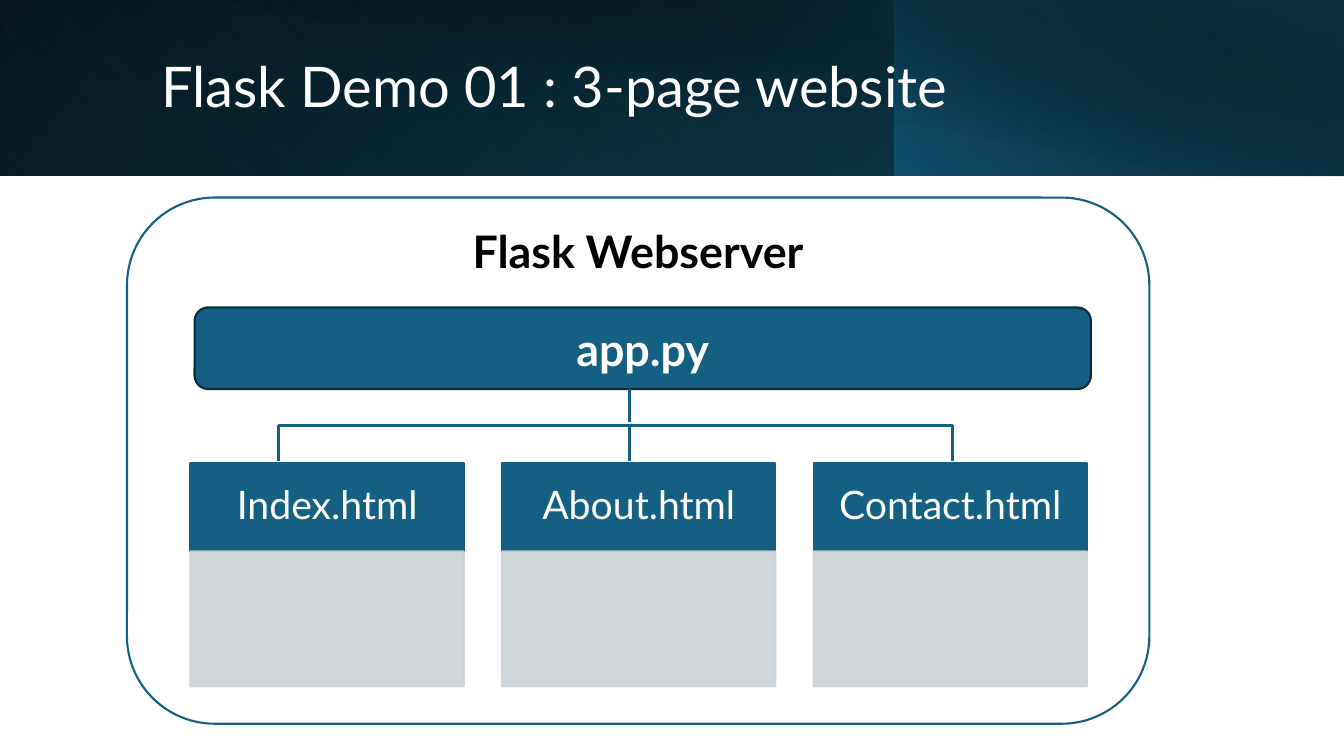
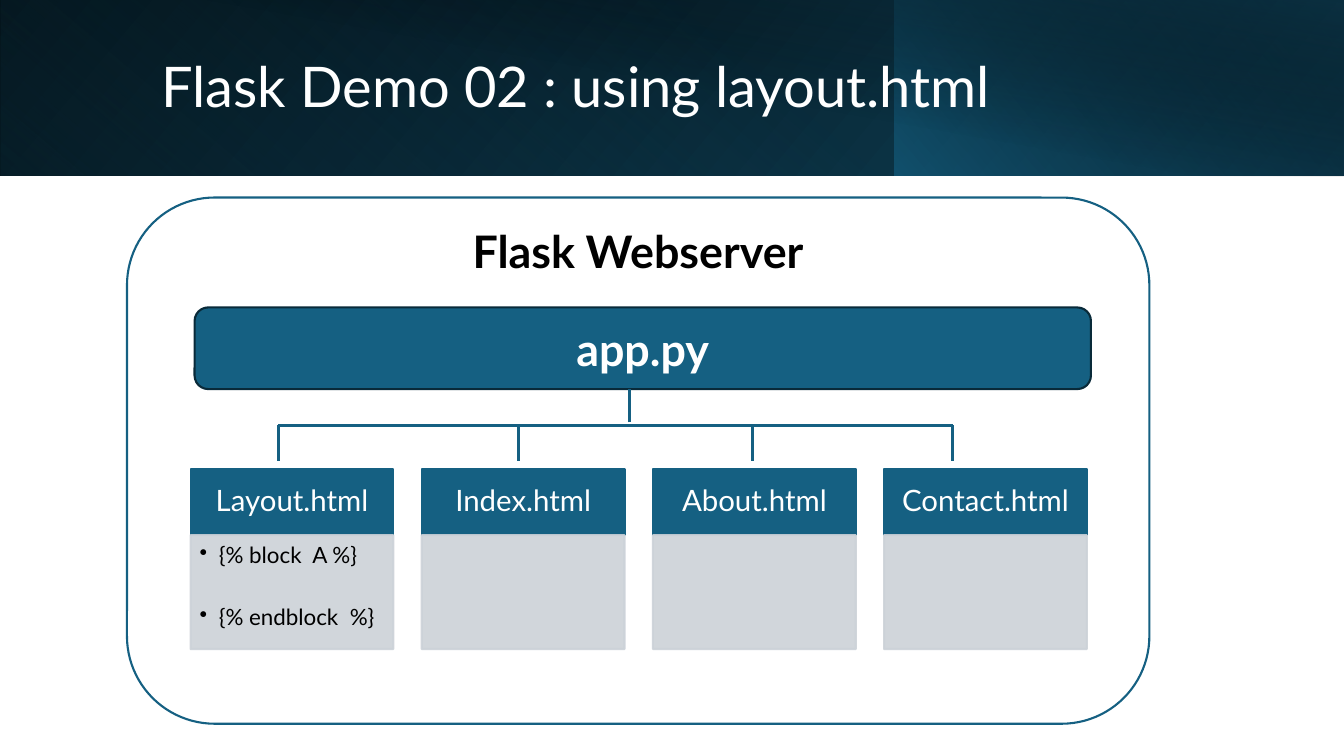
from lxml.etree import SubElement
from pptx import Presentation
from pptx.dml.color import RGBColor
from pptx.enum.shapes import MSO_CONNECTOR, MSO_SHAPE
from pptx.enum.text import MSO_ANCHOR, MSO_AUTO_SIZE, PP_ALIGN
from pptx.oxml import parse_xml
from pptx.oxml.ns import nsdecls, qn
from pptx.util import Inches, Pt

FONT = "Lato"
WHITE = RGBColor(0xFF, 0xFF, 0xFF)
BLACK = RGBColor(0x00, 0x00, 0x00)
TEAL = RGBColor(0x15, 0x60, 0x82)
DEEP_TEAL = RGBColor(0x10, 0x48, 0x62)
NAVY = RGBColor(0x0B, 0x30, 0x41)
DARK_EDGE = RGBColor(0x09, 0x2A, 0x39)
GRAY = RGBColor(0xCC, 0xD2, 0xD8)

BANDS = [
    ((0, 0, 13.33, 1.74), 0, True, 140, [(0, BLACK, 100), (100, DEEP_TEAL, 100)]),
    ((0, 0, 8.88, 1.74), 180, True, 230, [(20, TEAL, 0), (100, NAVY, 55)]),
    ((8.87, 0, 4.46, 1.74), 0, True, 220, [(0, TEAL, 66), (100, BLACK, 30)]),
    ((0.5, 0, 12.83, 1.75), 0, False, 280, [(50, BLACK, 0), (99, NAVY, 52)]),
]
CARDS_LEFT, CARDS_WIDTH, GAP_RATIO = 1.89, 8.89, 0.14
BUS_LEFT, BUS_RIGHT, BUS_Y = 2.76, 9.45, 4.22
TRUNK_X, APP_BOTTOM = 6.24, 3.86


def inches(*values):
    """Convert numbers to lengths in inches."""
    return [Inches(v) for v in values]


def write(tf, lines, size, color, bold=False, align=PP_ALIGN.CENTER,
          anchor=MSO_ANCHOR.MIDDLE, margins=(0.1, 0.05, 0.1, 0.05),
          spacing=1.0, after=0, bullet_indent=0):
    """Fill a text frame with formatted paragraphs."""
    tf.word_wrap = True
    tf.auto_size = MSO_AUTO_SIZE.NONE
    tf.vertical_anchor = anchor
    tf.margin_left, tf.margin_top, tf.margin_right, tf.margin_bottom = inches(*margins)
    for i, line in enumerate(lines):
        p = tf.add_paragraph() if i else tf.paragraphs[0]
        p.alignment, p.line_spacing, p.space_after = align, spacing, Pt(after)
        if bullet_indent:
            pPr = p._p.get_or_add_pPr()
            pPr.set("marL", str(Inches(bullet_indent)))
            pPr.set("indent", str(-Inches(bullet_indent)))
            SubElement(pPr, qn("a:buChar"), char="•")
        r = p.add_run()
        r.text = line
        r.font.name, r.font.size, r.font.bold = FONT, Pt(size), bold
        r.font.color.rgb = color


def add_box(s, box, fill, line, kind=MSO_SHAPE.RECTANGLE, opacity=100):
    """Add a filled and outlined shape."""
    sp = s.shapes.add_shape(kind, *inches(*box))
    sp.shadow.inherit = False
    sp.fill.solid()
    sp.fill.fore_color.rgb = fill
    sp.line.color.rgb = line
    sp.line.width = Pt(1.5)
    if opacity < 100:
        for color in sp.element.spPr.iter(qn("a:srgbClr")):
            SubElement(color, qn("a:alpha"), val=str(opacity * 1000))
    return sp


def add_band(s, box, rotation, flip, angle, stops):
    """Add a borderless rectangle with a linear gradient."""
    sp = s.shapes.add_shape(MSO_SHAPE.RECTANGLE, *inches(*box))
    sp.shadow.inherit = False
    sp.line.fill.background()
    sp.rotation = rotation
    spPr = sp.element.spPr
    if flip:
        spPr.xfrm.set("flipH", "1")
    gs = "".join(
        f'<a:gs pos="{pos * 1000}"><a:srgbClr val="{color}">'
        f'<a:alpha val="{opacity * 1000}"/></a:srgbClr></a:gs>'
        for pos, color, opacity in stops)
    spPr.find(qn("a:prstGeom")).addnext(parse_xml(
        f'<a:gradFill {nsdecls("a")} rotWithShape="1"><a:gsLst>{gs}</a:gsLst>'
        f'<a:lin ang="{angle * 60000}" scaled="0"/></a:gradFill>'))
    return sp


def add_header_to_layout(s):
    """Build the title bands and place them on the slide's layout."""
    tree = s.slide_layout.shapes.element
    for i, band in enumerate(BANDS):
        element = add_band(s, *band).element
        element.nvSpPr.cNvPr.set("id", str(20 + i))
        tree.insert(2 + i, element)


def add_line(s, x1, y1, x2, y2):
    """Add a straight connecting line."""
    line = s.shapes.add_connector(MSO_CONNECTOR.STRAIGHT, *inches(x1, y1, x2, y2))
    line.line.color.rgb = TEAL
    line.line.width = Pt(2.25)
    SubElement(line.element.spPr, qn("a:effectLst"))


def add_title(s, text):
    """Place and format the title."""
    title = s.shapes.title
    title.left, title.top, title.width, title.height = inches(1.5, 0.32, 10.82, 1.13)
    write(title.text_frame, [text], 40, WHITE, align=PP_ALIGN.LEFT, spacing=0.9)


def add_server(s):
    """Add the web server panel with its application bar."""
    panel = add_box(s, (1.26, 1.96, 10.14, 5.22), WHITE, TEAL, MSO_SHAPE.ROUNDED_RECTANGLE)
    write(panel.text_frame, ["Flask Webserver"], 32, BLACK, bold=True,
          anchor=MSO_ANCHOR.TOP, margins=(0.1, 0, 0.1, 0))
    app = add_box(s, (1.93, 3.05, 8.89, 0.81), TEAL, DARK_EDGE, MSO_SHAPE.ROUNDED_RECTANGLE)
    write(app.text_frame, ["app.py"], 32, WHITE, bold=True)


def add_cards(s, pages, top, head_h, body_h, size):
    """Add one headed card per page, evenly spread over the panel."""
    n = len(pages)
    width = CARDS_WIDTH / (n + GAP_RATIO * (n - 1))
    for i, (name, notes) in enumerate(pages):
        left = CARDS_LEFT + i * width * (1 + GAP_RATIO)
        head = add_box(s, (left, top, width, head_h), TEAL, TEAL)
        write(head.text_frame, [name], size, WHITE, spacing=0.9,
              margins=(0.12, 0.09, 0.12, 0.09))
        body = add_box(s, (left, top + head_h, width, body_h), GRAY, GRAY, opacity=90)
        if notes:
            write(body.text_frame, notes, 16, BLACK, align=PP_ALIGN.LEFT,
                  anchor=MSO_ANCHOR.TOP, margins=(0.09, 0.09, 0.1, 0.1),
                  spacing=0.9, after=27, bullet_indent=0.19)


def add_tree(s, inner_drops):
    """Add the lines that lead from the application to the pages."""
    add_line(s, BUS_LEFT, BUS_Y, BUS_RIGHT, BUS_Y)
    add_line(s, TRUNK_X, BUS_Y - 0.03, TRUNK_X, APP_BOTTOM)
    for x in (BUS_LEFT, *inner_drops, BUS_RIGHT):
        add_line(s, x, BUS_Y + 0.35, x, BUS_Y)


def add_demo(prs, title, pages, inner_drops, **card_format):
    """Add a slide that shows one demo site."""
    s = prs.slides.add_slide(prs.slide_layouts[5])
    add_title(s, title)
    add_server(s)
    add_cards(s, pages, **card_format)
    add_tree(s, inner_drops)
    return s


def main():
    """Build and save the presentation."""
    prs = Presentation()
    prs.slide_width, prs.slide_height = inches(13.33, 7.5)
    pages = [("Index.html", []), ("About.html", []), ("Contact.html", [])]
    layout_page = ("Layout.html", ["{% block  A %}", "{% endblock  %}"])
    s = add_demo(prs, "Flask Demo 01 : 3-page website", pages, [TRUNK_X],
                 top=4.59, head_h=0.88, body_h=1.34, size=28)
    add_header_to_layout(s)
    add_demo(prs, "Flask Demo 02 : using layout.html", [layout_page, *pages], [5.14, 7.46],
             top=4.65, head_h=0.66, body_h=1.13, size=21)
    prs.save("out.pptx")


if __name__ == "__main__":
    main()
